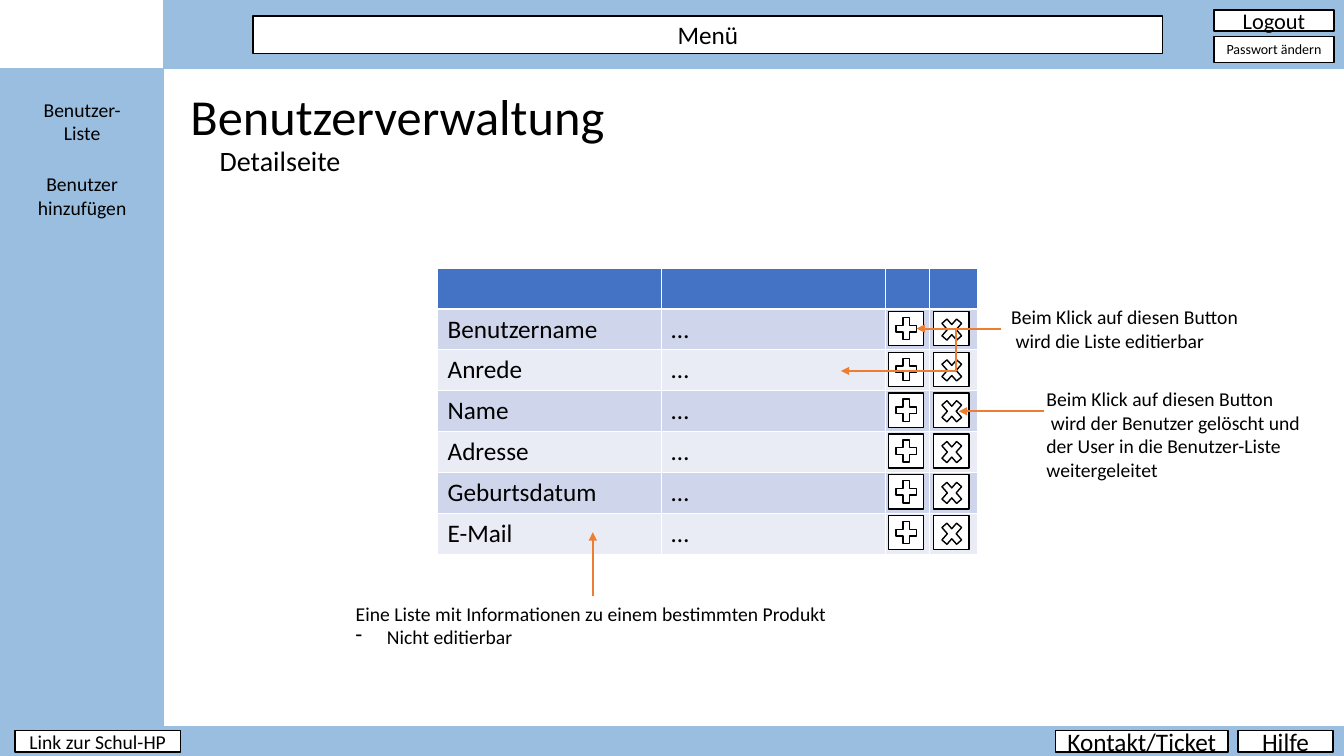
from lxml.etree import SubElement
from pptx import Presentation
from pptx.dml.color import RGBColor
from pptx.enum.shapes import MSO_CONNECTOR, MSO_SHAPE
from pptx.enum.text import MSO_ANCHOR, MSO_AUTO_SIZE, PP_ALIGN
from pptx.oxml.ns import qn
from pptx.util import Inches, Pt

BLACK = RGBColor(0x00, 0x00, 0x00)
WHITE = RGBColor(0xFF, 0xFF, 0xFF)
FRAME_BLUE = RGBColor(0x9A, 0xBE, 0xDF)
HEADER_BLUE = RGBColor(0x44, 0x72, 0xC4)
BAND_DARK = RGBColor(0xCF, 0xD5, 0xEA)
BAND_LIGHT = RGBColor(0xE9, 0xEB, 0xF5)
ORANGE = RGBColor(0xED, 0x7D, 0x31)

presentation = Presentation()
presentation.slide_width = Inches(13.33)
presentation.slide_height = Inches(7.5)
slide = presentation.slides.add_slide(presentation.slide_layouts[6])


def write_text(text_frame, lines, size, alignment):
    for index, line in enumerate(lines):
        paragraph = text_frame.paragraphs[0] if index == 0 else text_frame.add_paragraph()
        paragraph.text = line
        paragraph.alignment = alignment
        paragraph.font.color.rgb = BLACK
        for name, value in {"name": "Calibri", "size": Pt(size)}.items():
            setattr(paragraph.font, name, value)


def add_box(kind, box, fill=WHITE, line=BLACK):
    shape = slide.shapes.add_shape(kind, *map(Inches, box))
    shape.shadow.inherit = False
    shape.fill.solid()
    shape.fill.fore_color.rgb = fill
    shape.line.color.rgb = line
    shape.line.width = Pt(1)
    return shape


# Page frame: sidebar, footer and header
for box in [(0, 0.68, 1.62, 6.53), (0, 7.21, 13.33, 0.29), (1.62, 0, 11.71, 0.68)]:
    add_box(MSO_SHAPE.RECTANGLE, box, FRAME_BLUE, FRAME_BLUE)

# Buttons in header and footer
buttons = [
    ("Menü", 18, (2.51, 0.16, 9.02, 0.37)),
    ("Logout", 16, (12.04, 0.1, 1.19, 0.21)),
    ("Passwort ändern", 10, (12.04, 0.36, 1.19, 0.26)),
    ("Link zur Schul-HP", 14, (0.15, 7.25, 1.64, 0.21)),
    ("Kontakt/Ticket", 18, (10.47, 7.25, 1.71, 0.21)),
    ("Hilfe", 18, (12.28, 7.25, 0.94, 0.21)),
]
for label, size, box in buttons:
    button = add_box(MSO_SHAPE.RECTANGLE, box)
    button.text_frame.vertical_anchor = MSO_ANCHOR.MIDDLE
    write_text(button.text_frame, [label], size, PP_ALIGN.CENTER)

# User table
fields = ["Benutzername", "Anrede", "Name", "Adresse", "Geburtsdatum", "E-Mail"]
table = slide.shapes.add_table(
    len(fields) + 1, 4, Inches(4.34), Inches(2.66), Inches(5.36), Inches(2.84)
).table
for column, width in zip(table.columns, [2.22, 2.22, 0.44, 0.48]):
    column.width = Inches(width)
for row_index, row in enumerate(table.rows):
    row_fill = (BAND_LIGHT, BAND_DARK)[row_index % 2] if row_index else HEADER_BLUE
    for cell in row.cells:
        cell.fill.solid()
        cell.fill.fore_color.rgb = row_fill
    if row_index:
        for cell, text in zip(row.cells, [fields[row_index - 1], "…"]):
            write_text(cell.text_frame, [text], 18, PP_ALIGN.LEFT)

# Edit and delete buttons beside each field
icons = [(8.81, MSO_SHAPE.MATH_PLUS, 0.3), (9.26, MSO_SHAPE.MATH_MULTIPLY, 0.32)]
for left, symbol, symbol_height in icons:
    for row_index in range(len(fields)):
        top = 3.09 + 0.405 * row_index
        add_box(MSO_SHAPE.RECTANGLE, (left, top, 0.35, 0.34))
        add_box(symbol, (left + 0.04, top + 0.02, 0.28, symbol_height))

# Titles, sidebar entries and notes
LEFT, CENTER = PP_ALIGN.LEFT, PP_ALIGN.CENTER
texts = [
    (["Benutzerverwaltung"], 36, LEFT, True, (1.79, 0.79, 4.41, 0.71)),
    (["Detailseite"], 20, LEFT, True, (2.08, 1.37, 1.9, 0.44)),
    (["Benutzer-", "Liste"], 14, CENTER, True, (0.15, 0.92, 1.33, 0.57)),
    (["Benutzer hinzufügen"], 14, CENTER, True, (0.15, 1.66, 1.33, 0.57)),
    (["Beim Klick auf diesen Button", " wird die Liste editierbar"],
     14, LEFT, False, (9.93, 2.98, 2.48, 0.57)),
    (["Beim Klick auf diesen Button", " wird der Benutzer gelöscht und ",
      "der User in die Benutzer-Liste ", "weitergeleitet"],
     14, LEFT, False, (10.28, 3.79, 2.78, 1.04)),
    (["Eine Liste mit Informationen zu einem bestimmten Produkt", "Nicht editierbar"],
     14, LEFT, False, (3.43, 5.92, 4.91, 0.57)),
]
for lines, size, alignment, wrap, box in texts:
    text_frame = slide.shapes.add_textbox(*map(Inches, box)).text_frame
    for name, value in {"word_wrap": wrap, "auto_size": MSO_AUTO_SIZE.SHAPE_TO_FIT_TEXT}.items():
        setattr(text_frame, name, value)
    write_text(text_frame, lines, size, alignment)

# Dash bullet on the last line of the list note
properties = text_frame.paragraphs[-1]._p.get_or_add_pPr()
properties.set("marL", str(Inches(0.31)))
properties.set("indent", str(-Inches(0.31)))
bullet = properties.makeelement(qn("a:buChar"), {"char": "-"})
properties.insert_element_before(bullet, "a:tabLst", "a:defRPr", "a:extLst")

# Arrows from the notes to the table
STRAIGHT, ELBOW = MSO_CONNECTOR.STRAIGHT, MSO_CONNECTOR.ELBOW
arrows = [
    (STRAIGHT, (5.88, 5.91, 5.88, 5.28)),
    (STRAIGHT, (9.93, 3.26, 9.09, 3.26)),
    (STRAIGHT, (10.35, 4.08, 9.51, 4.08)),
    (ELBOW, (9.93, 3.26, 8.34, 3.68)),
]
for kind, ends in arrows:
    arrow = slide.shapes.add_connector(kind, *map(Inches, ends))
    arrow.line.color.rgb = ORANGE
    arrow.line.width = Pt(1.5)
    SubElement(arrow.line._get_or_add_ln(), qn("a:tailEnd"), type="triangle")
    shape_properties = arrow._element.spPr
    SubElement(shape_properties, qn("a:effectLst"))
    if kind == ELBOW:
        adjustments = shape_properties.find(qn("a:prstGeom")).get_or_add_avLst()
        SubElement(adjustments, qn("a:gd"), name="adj1", fmla="val 28100")

presentation.save("out.pptx")
